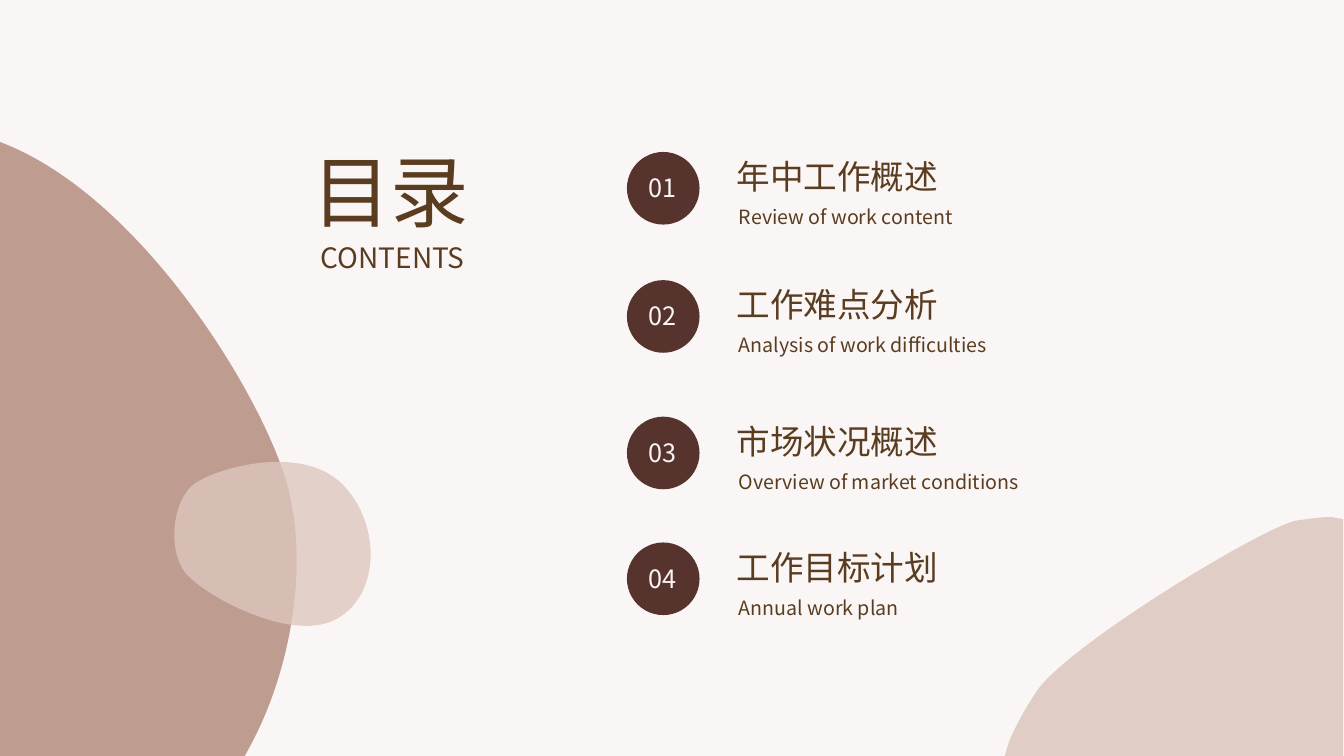
from math import cos, radians, sin
from pptx import Presentation, util as u
from pptx.dml.color import RGBColor
from pptx.enum import shapes, text
from pptx.oxml import ns
from lxml import etree

Cm = u.Cm
INK = {"back": "FAF6F5", "sand": "E0CDC6", "clay": "BE9C90",
       "rose": "DEC7BF", "disc": "56342D", "text": "5A3D20"}
FACE = "Noto Sans CJK SC"
LEFT, MID = text.PP_ALIGN.LEFT, text.PP_ALIGN.CENTER

deck = Presentation()
deck.slide_width, deck.slide_height = Cm(33.87), Cm(19.05)
page = deck.slides.add_slide(deck.slide_layouts[6])
page.background.fill.solid()
page.background.fill.fore_color.rgb = RGBColor.from_string(INK["back"])


def paint(shape, ink):
    shape.shadow.inherit = False
    shape.fill.solid()
    shape.fill.fore_color.rgb = RGBColor.from_string(INK[ink])
    shape.line.fill.background()


def write(words, box, size, ink="text", align=LEFT):
    frame = page.shapes.add_textbox(*map(Cm, box)).text_frame
    para = frame.paragraphs[0]
    run = para.add_run()
    looks = [
        (frame, {"word_wrap": True,
                 "auto_size": text.MSO_AUTO_SIZE.SHAPE_TO_FIT_TEXT}),
        (para, {"alignment": align}),
        (run, {"text": words}),
        (run.font, {"size": u.Pt(size), "name": FACE}),
    ]
    for part, look in looks:
        for key, value in look.items():
            setattr(part, key, value)
    run.font.color.rgb = RGBColor.from_string(INK[ink])
    # East Asian glyphs take their own face
    etree.SubElement(run.font._element, ns.qn("a:ea"), typeface=FACE)


# Blobs: ink, opacity, frame, turn, then points on the slide:
# the start, line ends (2 numbers) and curves (6 numbers)
blobs = [
    ("sand", 100, (25.32, 13.03, 8.53, 6.02), 0, [
        (33.48, 13.03), (33.55, 13.03, 33.63, 13.03, 33.71, 13.06),
        (33.85, 13.08), (33.85, 19.05), (25.32, 19.05), (25.43, 18.69),
        (25.6, 18.29, 25.83, 17.86, 26.14, 17.4),
        (26.95, 16.23, 31.98, 13.18, 32.72, 13.11),
        (32.99, 13.08, 33.25, 13.03, 33.48, 13.03)]),
    ("clay", 100, (-3.99, 7.57, 15.47, 7.49), 90, [
        (0, 3.58), (0, 19.05), (6.17, 19.05), (6.32, 18.77),
        (7.37, 16.81, 7.87, 13.94, 7.11, 11.81),
        (6.3, 9.5, 3.43, 4.93, 0.08, 3.61)]),
    ("rose", 80, (4.85, 11.1, 4.04, 5.03), 100.1, [
        (4.93, 12.17), (4.32, 12.57, 4.17, 14, 4.78, 14.55),
        (5.36, 15.11, 7.44, 16.23, 8.53, 15.57),
        (9.63, 14.91, 9.58, 13.08, 8.56, 12.14),
        (7.54, 11.23, 5.56, 11.76, 4.93, 12.17)]),
]
for ink, alpha, box, turn, parts in blobs:
    left, top, wide, high = box
    pen = page.shapes.build_freeform(0, 0)
    pen.add_line_segments([(Cm(wide), 0), (Cm(wide), Cm(high))])
    blob = pen.convert_to_shape()
    for key, value in zip(("left", "top", "width", "height"), box):
        setattr(blob, key, Cm(value))
    blob.rotation = turn
    paint(blob, ink)
    if alpha < 100:
        tint = blob.fill._xPr.find(".//" + ns.qn("a:srgbClr"))
        etree.SubElement(tint, ns.qn("a:alpha"), val=str(alpha * 1000))

    # Swap the plain outline for curves, turned back into the frame
    track = blob._element.find(".//" + ns.qn("a:path"))
    for node in list(track):
        track.remove(node)
    c, s = cos(radians(turn)), sin(radians(turn))
    for spot, part in enumerate(parts):
        kind = "cubicBezTo" if len(part) == 6 else "lnTo" if spot else "moveTo"
        move = etree.SubElement(track, ns.qn("a:" + kind))
        for x, y in zip(part[::2], part[1::2]):
            dx, dy = x - left - wide / 2, y - top - high / 2
            etree.SubElement(move, ns.qn("a:pt"),
                             x=str(Cm(wide / 2 + dx * c + dy * s)),
                             y=str(Cm(high / 2 - dx * s + dy * c)))
    etree.SubElement(track, ns.qn("a:close"))

# Contents list: top of disc, title, subtitle
items = [
    (3.83, "年中工作概述", "Review of work content"),
    (7.06, "工作难点分析", "Analysis of work difficulties"),
    (10.5, "市场状况概述", "Overview of market conditions"),
    (13.67, "工作目标计划", "Annual work plan"),
]
for num, (top, title, sub) in enumerate(items, 1):
    write(title, (18.31, top - 0.02, 6.22, 1.27), 24)
    disc = page.shapes.add_shape(shapes.MSO_SHAPE.OVAL, Cm(15.8), Cm(top),
                                 Cm(1.83), Cm(1.83))
    paint(disc, "disc")
    write(f"{num:02}", (15.95, top + 0.39, 1.5, 1.02), 18, "back", MID)
    write(sub, (18.37, top + 1.21, 9.19, 0.86), 14)

# Heading
write("CONTENTS", (7.24, 5.93, 5.31, 1.12), 20, align=MID)
write("目录", (7.09, 3.48, 5.51, 2.64), 56, align=MID)

deck.save("out.pptx")
